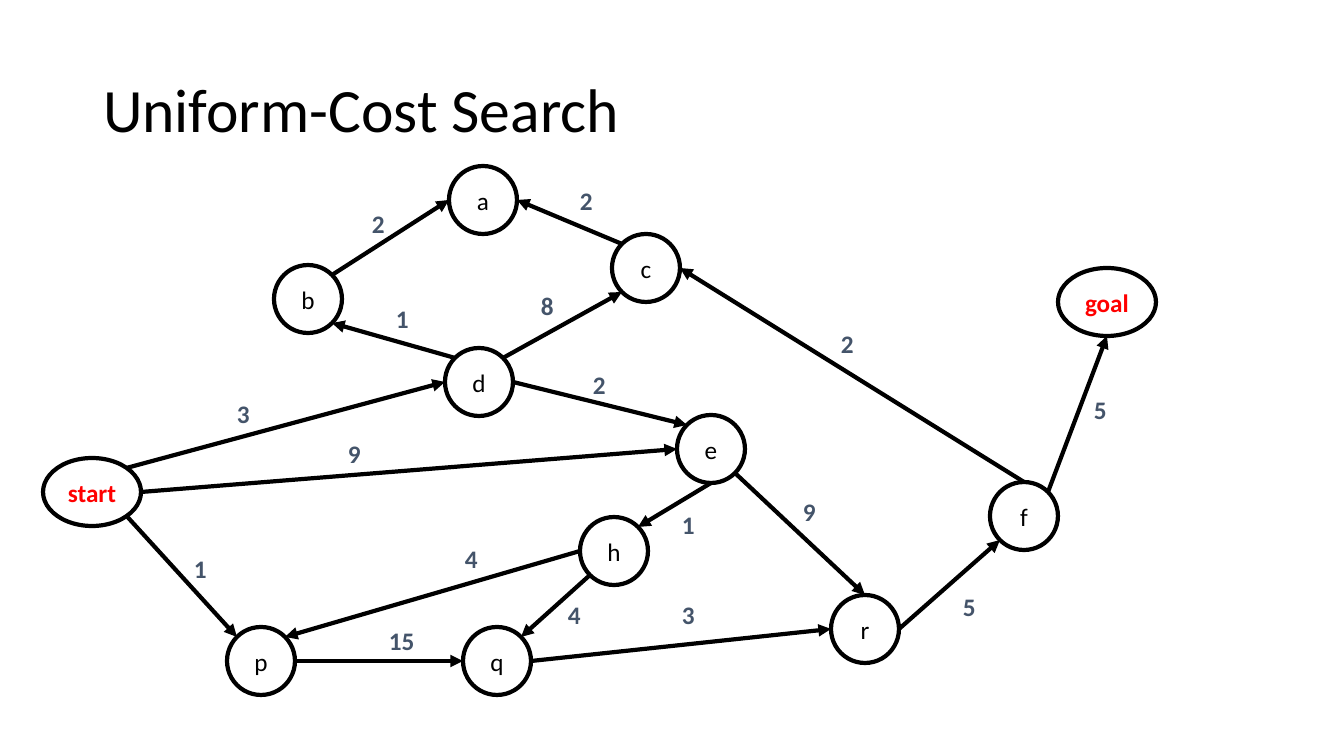
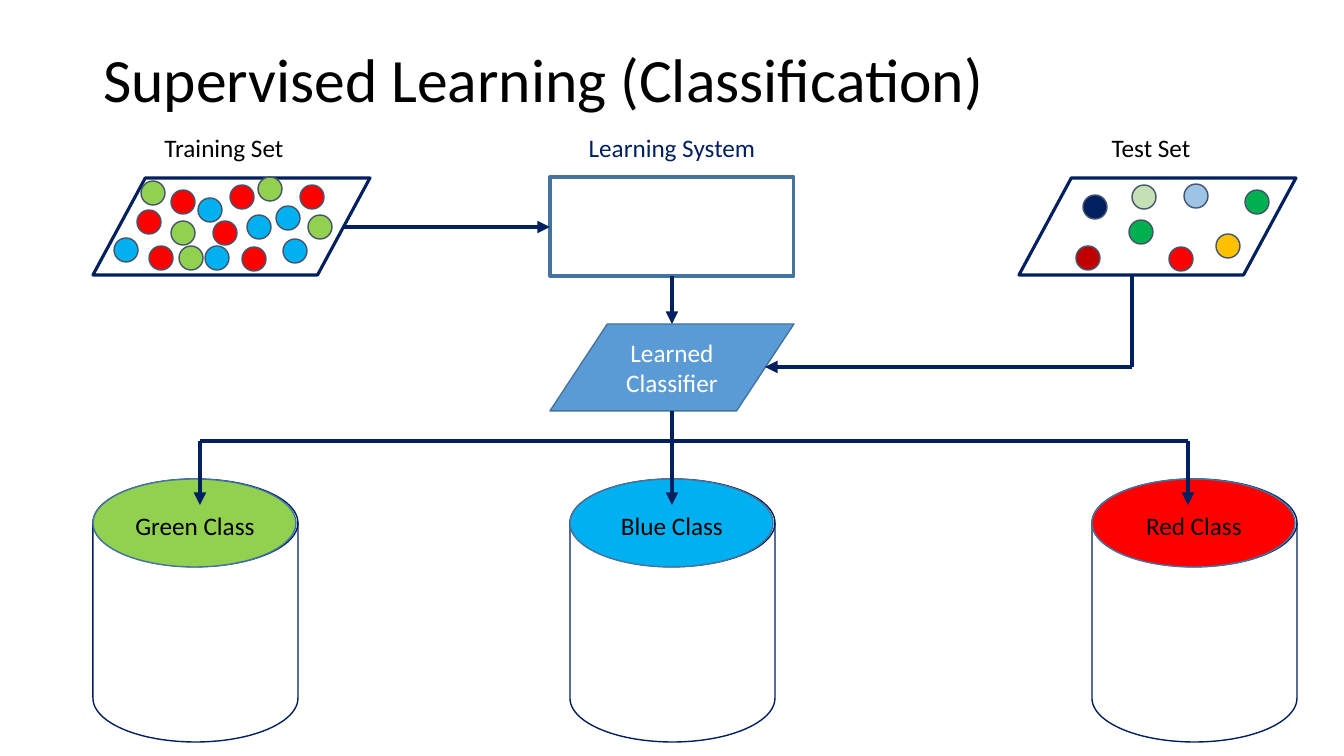
from dataclasses import dataclass
from math import sqrt

from lxml.etree import SubElement
from pptx import Presentation
from pptx.dml.color import RGBColor
from pptx.enum.shapes import MSO_CONNECTOR, MSO_SHAPE
from pptx.enum.text import MSO_ANCHOR, MSO_AUTO_SIZE, PP_ALIGN
from pptx.oxml.ns import qn
from pptx.util import Pt

EMU_PER_PIXEL = 914400 / 100.8


@dataclass(frozen=True)
class Theme:
    font: str = "Calibri"
    title_size: int = 44
    text_size: int = 18
    thick: float = 3
    medium: float = 2.25
    thin: float = 1
    black: str = "000000"
    white: str = "FFFFFF"
    slate: str = "44546A"
    navy: str = "002060"
    steel: str = "43739E"
    accent: str = "5B9BD5"
    red: str = "FF0000"
    lime: str = "92D050"
    sky: str = "00B0F0"
    green: str = "00B050"
    dark_red: str = "C00000"
    pale_blue: str = "9DC3E6"
    pale_green: str = "C5E0B4"
    amber: str = "FFC000"


THEME = Theme()

# Connection sites of an ellipse: index and direction from the centre
DIAGONAL = 1 / sqrt(2)
SITES = {
    "N": (0, 0, -1), "NW": (1, -DIAGONAL, -DIAGONAL),
    "W": (2, -1, 0), "SW": (3, -DIAGONAL, DIAGONAL),
    "S": (4, 0, 1), "SE": (5, DIAGONAL, DIAGONAL),
    "E": (6, 1, 0), "NE": (7, DIAGONAL, -DIAGONAL),
}

NODE_SIZE, TERMINAL_WIDTH = 68, 98
TERMINALS = ("start", "goal")
NODE_CENTRES = {
    "start": (92, 492), "d": (479, 382), "p": (261, 661), "q": (497, 661),
    "h": (614, 551), "e": (711, 449), "b": (308, 299), "a": (483, 200),
    "c": (646, 268), "r": (865, 629), "f": (1024, 516), "goal": (1107, 302),
}
# From node and site, to node and site, cost, corner of the cost label
EDGES = [
    ("start", "NE", "d", "W", "3", 227, 393),
    ("start", "SE", "p", "NW", "1", 184, 548),
    ("start", "E", "e", "W", "9", 338, 433),
    ("d", "NW", "b", "SE", "1", 386, 298),
    ("d", "NE", "c", "SW", "8", 531, 285),
    ("b", "NE", "a", "W", "2", 362, 203),
    ("c", "NW", "a", "E", "2", 570, 180),
    ("p", "E", "q", "W", "15", 379, 620),
    ("q", "E", "r", "W", "3", 672, 594),
    ("h", "SW", "q", "NE", "4", 558, 594),
    ("e", "S", "h", "NE", "1", 672, 504),
    ("e", "SE", "r", "N", "9", 793, 491),
    ("r", "E", "f", "SW", "5", 953, 586),
    ("f", "NE", "goal", "S", "5", 1084, 389),
    ("f", "N", "c", "E", "2", 831, 323),
    ("d", "E", "e", "NW", "2", 583, 364),
    ("h", "W", "p", "NE", "4", 455, 538),
]

DOT_SIZE = 24
TRAINING_DOTS = {
    THEME.lime: [(179, 246), (308, 215), (258, 177), (141, 181), (171, 221)],
    THEME.red: [(149, 246), (213, 221), (230, 185), (242, 247), (171, 190),
                (300, 185), (137, 210)],
    THEME.sky: [(247, 215), (205, 246), (283, 239), (198, 198), (276, 206),
                (114, 238)],
}
TEST_DOTS = {
    THEME.green: [(1129, 220), (1245, 190)],
    THEME.dark_red: [(1076, 246)],
    THEME.red: [(1169, 247)],
    THEME.pale_blue: [(1184, 184)],
    THEME.navy: [(1083, 195)],
    THEME.amber: [(1216, 234)],
    THEME.pale_green: [(1132, 185)],
}
# Label, colour, left of the cylinder, x of the arrow into it
CLASSES = [
    ("Green Class", THEME.lime, 93, 200),
    ("Blue Class", THEME.sky, 570, 672),
    ("Red Class", THEME.red, 1092, 1188),
]


def px(*lengths):
    return [round(length * EMU_PER_PIXEL) for length in lengths]


def apply(target, values):
    for name, value in values.items():
        setattr(target, name, value)


def write(shape, text, color=THEME.black, size=THEME.text_size, bold=False,
          align=PP_ALIGN.CENTER, **frame_values):
    frame = shape.text_frame
    apply(frame, {"word_wrap": True, **frame_values})
    paragraph = frame.paragraphs[0]
    paragraph.alignment = align
    run = paragraph.add_run()
    run.text = text
    apply(run.font, {"name": THEME.font, "size": Pt(size), "bold": bold})
    run.font.color.rgb = RGBColor.from_string(color)
    return paragraph


def add_title(slide, text, top):
    title = slide.shapes.title
    left, top, width, height = px(93, top, 1159, 146)
    apply(title, {"left": left, "top": top, "width": width, "height": height})
    paragraph = write(title, text, size=THEME.title_size, align=PP_ALIGN.LEFT,
                      vertical_anchor=MSO_ANCHOR.MIDDLE,
                      auto_size=MSO_AUTO_SIZE.NONE)
    paragraph.line_spacing = 0.9


def add_label(slide, text, left, top, width, **format_values):
    box = slide.shapes.add_textbox(*px(left, top, width, 40))
    write(box, text, auto_size=MSO_AUTO_SIZE.SHAPE_TO_FIT_TEXT,
          **format_values)


def add_figure(container, kind, bounds, fill, line, weight, slant=None):
    shape = container.shapes.add_shape(kind, *px(*bounds))
    shape.shadow.inherit = False
    shape.fill.solid()
    shape.fill.fore_color.rgb = RGBColor.from_string(fill)
    shape.line.color.rgb = RGBColor.from_string(line)
    shape.line.width = Pt(weight)
    if slant is not None:
        shape.adjustments[0] = slant
    return shape


def add_line(slide, start, end, color, arrow=True):
    connector = slide.shapes.add_connector(
        MSO_CONNECTOR.STRAIGHT, *px(*start, *end))
    connector.line.color.rgb = RGBColor.from_string(color)
    connector.line.width = Pt(THEME.thick)
    properties = connector._element.spPr
    if arrow:
        SubElement(properties.find(qn("a:ln")), qn("a:tailEnd"),
                   type="triangle")
    SubElement(properties, qn("a:effectLst"))
    return connector


# Graph
def node_width(name):
    return TERMINAL_WIDTH if name in TERMINALS else NODE_SIZE


def add_node(slide, name):
    x, y = NODE_CENTRES[name]
    width = node_width(name)
    bounds = (x - width / 2, y - NODE_SIZE / 2, width, NODE_SIZE)
    node = add_figure(slide, MSO_SHAPE.OVAL, bounds, THEME.white,
                      THEME.black, THEME.thick)
    terminal = name in TERMINALS
    write(node, name, THEME.red if terminal else THEME.black, bold=terminal,
          margin_left=0, margin_right=0, vertical_anchor=MSO_ANCHOR.MIDDLE)
    return node


def site_point(name, site):
    x, y = NODE_CENTRES[name]
    _, across, down = SITES[site]
    return x + across * node_width(name) / 2, y + down * NODE_SIZE / 2


def add_edge(slide, nodes, source, source_site, target, target_site):
    edge = add_line(slide, site_point(source, source_site),
                    site_point(target, target_site), THEME.black)
    links = edge._element.nvCxnSpPr.cNvCxnSpPr
    for tag, name, site in (("a:stCxn", source, source_site),
                            ("a:endCxn", target, target_site)):
        SubElement(links, qn(tag), id=str(nodes[name].shape_id),
                   idx=str(SITES[site][0]))


def build_search(slide):
    add_title(slide, "Uniform-Cost Search", 40)
    nodes = {name: add_node(slide, name) for name in NODE_CENTRES}
    for *ends, cost, left, top in EDGES:
        add_edge(slide, nodes, *ends)
        add_label(slide, cost, left, top, 58, color=THEME.slate, bold=True,
                  align=PP_ALIGN.LEFT)


# Classification flow
def add_data_set(slide, text, left, label_left, dots):
    add_figure(slide, MSO_SHAPE.PARALLELOGRAM, (left, 178, 277, 97),
               THEME.white, THEME.navy, THEME.medium, slant=0.54)
    group = slide.shapes.add_group_shape()
    for color, corners in dots.items():
        for corner in corners:
            add_figure(group, MSO_SHAPE.OVAL, (*corner, DOT_SIZE, DOT_SIZE),
                       color, THEME.slate, THEME.thin)
    add_label(slide, text, label_left, 127, 160)


def add_class(slide, text, color, left):
    add_figure(slide, MSO_SHAPE.FLOWCHART_MAGNETIC_DISK,
               (left, 479, 205, 263), THEME.white, THEME.navy, THEME.thin)
    add_figure(slide, MSO_SHAPE.OVAL, (left, 479, 203, 88), color,
               THEME.steel, THEME.thin)
    add_label(slide, text, left + 22, 505, 160)


def build_learning(slide):
    add_title(slide, "Supervised Learning (Classification)", 10)

    # Data sets, learning system and classifier
    add_data_set(slide, "Training Set", 93, 144, TRAINING_DOTS)
    add_data_set(slide, "Test Set", 1019, 1071, TEST_DOTS)
    add_figure(slide, MSO_SHAPE.RECTANGLE, (550, 177, 244, 99),
               THEME.white, THEME.steel, THEME.medium)
    add_label(slide, "Learning System", 550, 127, 244, color=THEME.navy)
    classifier = add_figure(slide, MSO_SHAPE.PARALLELOGRAM,
                            (550, 324, 244, 87), THEME.accent, THEME.steel,
                            THEME.thin, slant=0.66)
    write(classifier, "Learned Classifier", THEME.white,
          vertical_anchor=MSO_ANCHOR.MIDDLE)

    # Flow into the classifier
    add_line(slide, (343, 227), (550, 227), THEME.navy)
    add_line(slide, (672, 276), (672, 324), THEME.navy)
    add_line(slide, (1132, 275), (1132, 367), THEME.navy, arrow=False)
    add_line(slide, (1132, 367), (765, 367), THEME.navy)

    # Classes and the branches that lead to them
    bus_y = 441
    arrow_xs = [arrow_x for *_, arrow_x in CLASSES]
    for text, color, left, arrow_x in CLASSES:
        add_class(slide, text, color, left)
        branch_top = 411 if text == "Blue Class" else bus_y
        add_line(slide, (arrow_x, branch_top), (arrow_x, 505), THEME.navy)
    add_line(slide, (max(arrow_xs), bus_y), (min(arrow_xs), bus_y),
             THEME.navy, arrow=False)


def main():
    presentation = Presentation()
    width, height = px(1344, 756)
    apply(presentation, {"slide_width": width, "slide_height": height})
    title_only = presentation.slide_layouts[5]
    for build in (build_search, build_learning):
        build(presentation.slides.add_slide(title_only))
    presentation.save("out.pptx")


main()
